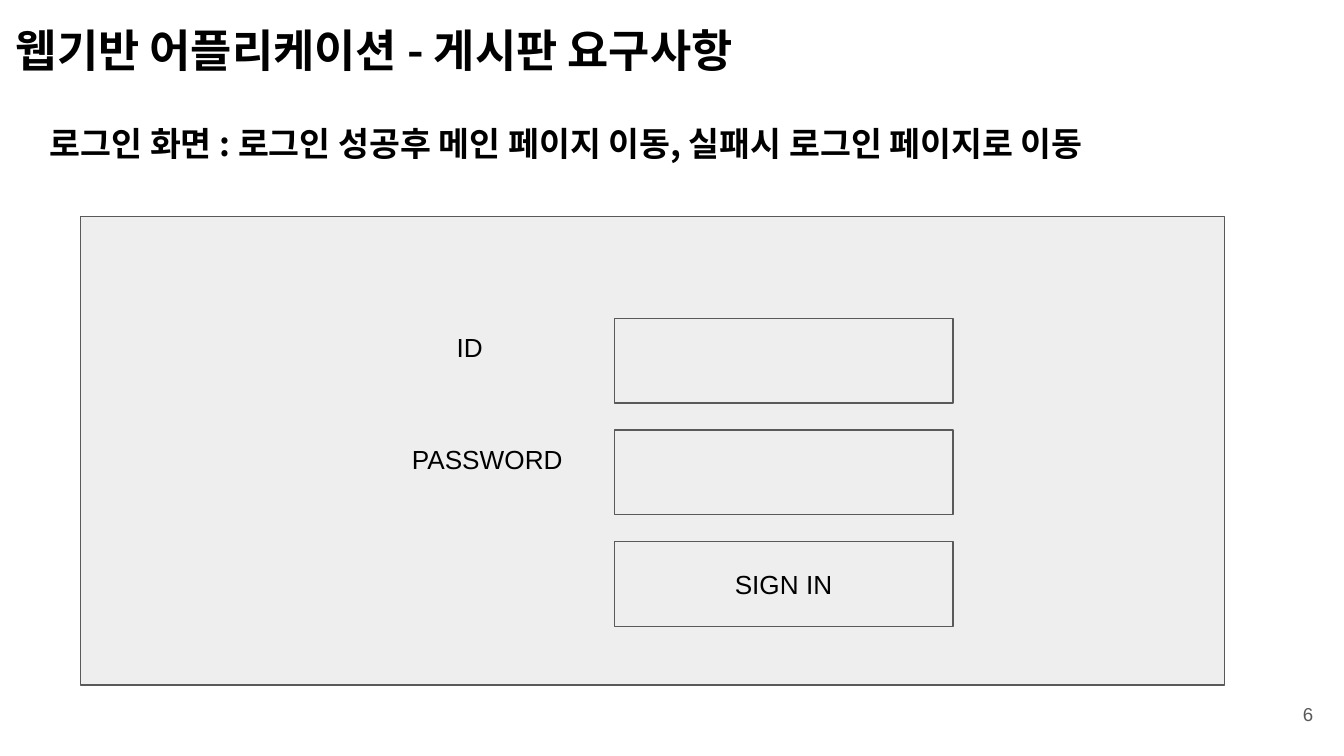
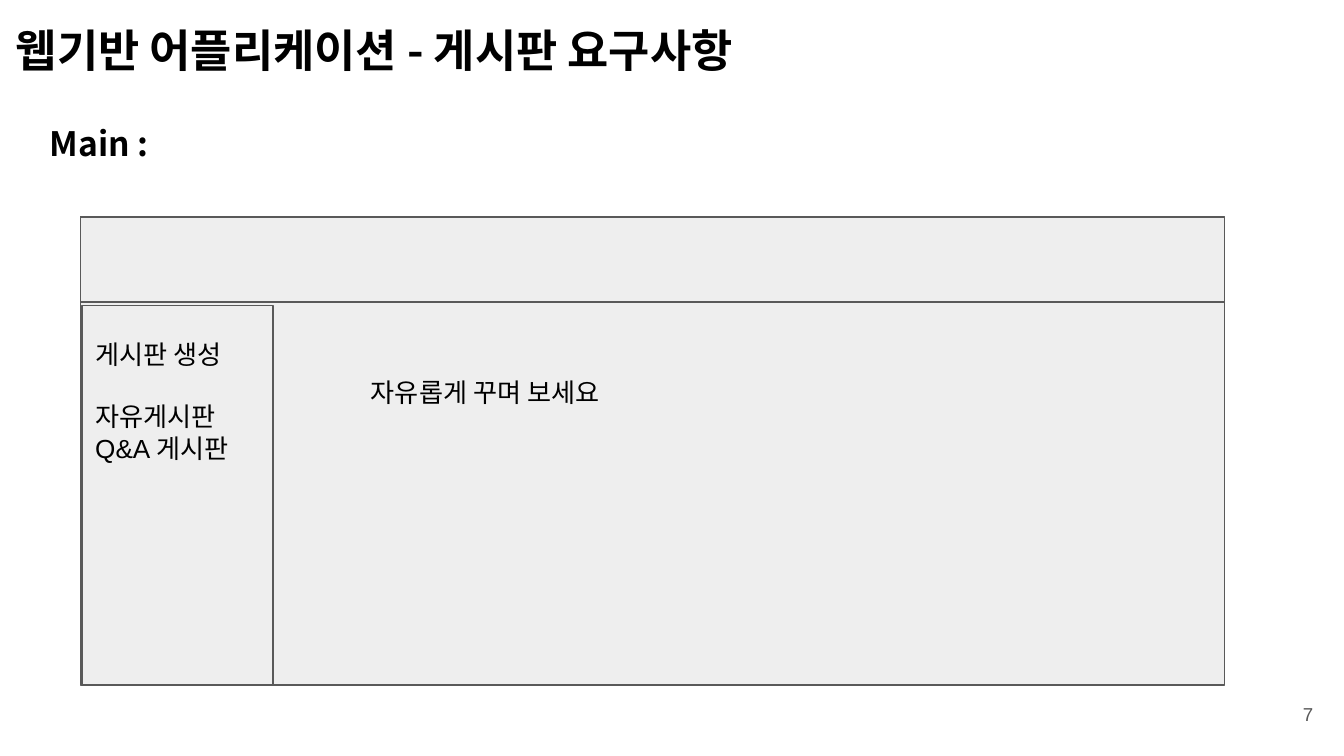
"""Builds two wireframe slides with the requirements of a web bulletin board."""
from lxml.etree import SubElement
from pptx import Presentation
from pptx.dml.color import RGBColor
from pptx.enum.shapes import MSO_SHAPE
from pptx.enum.text import MSO_ANCHOR, PP_ALIGN
from pptx.oxml.ns import qn
from pptx.util import Cm, Pt

TITLE = "웹기반 어플리케이션 - 게시판 요구사항"
LOGIN_HEADING = "로그인 화면 : 로그인 성공후 메인 페이지 이동, 실패시 로그인 페이지로 이동"
MAIN_HEADING = "Main :"
LOGIN_ROWS = [("ID", 3.02, ""), ("PASSWORD", 3.68, ""), ("", 0, "SIGN IN")]
MENU = [("게시판 생성", 16.8), ("자유게시판", 0), ("Q&A 게시판", 0)]
MAIN_NOTE = "자유롭게 꾸며 보세요"

KOREAN, LATIN = "Noto Sans CJK KR", "Arial"
BLACK, GRAY, PANEL = "000000", "595959", "EEEEEE"
INSET = 0.25
BAR_HEIGHT = 1.6
FRAME = (1.52, 4.09, 21.62, 8.86)
HEADER = (1.52, 4.11, 21.62, BAR_HEIGHT)
SIDEBAR = (1.55, 5.77, 3.61, 7.18)
NOTE = (6.76, 6.86, 10.62, 4.57)
FIELD_LEFT, FIELD_TOP, FIELD_WIDTH, ROW_STEP = 11.61, 6.02, 6.4, 2.11
LABEL_LEFT = 7.37

STYLES = {
    "title": {"size": Pt(24), "bold": True, "name": KOREAN},
    "heading": {"size": Pt(18), "bold": True, "name": KOREAN},
    "body": {"size": Pt(14), "bold": False, "name": LATIN},
    "number": {"size": Pt(10), "bold": False, "name": LATIN},
}


def color(value):
    return RGBColor.from_string(value)


def write(box, lines, style="body", align=PP_ALIGN.LEFT, anchor=MSO_ANCHOR.TOP,
          top_inset=INSET, ink=BLACK):
    frame = box.text_frame
    settings = {"word_wrap": True, "vertical_anchor": anchor,
                "margin_left": Cm(INSET), "margin_right": Cm(INSET),
                "margin_top": Cm(top_inset), "margin_bottom": Cm(INSET)}
    for name, value in settings.items():
        setattr(frame, name, value)
    for index, (text, gap) in enumerate(lines):
        para = frame.add_paragraph() if index else frame.paragraphs[0]
        para.alignment = align
        para.space_after = Pt(gap)
        span = para.add_run()
        span.text = text
        for name, value in STYLES[style].items():
            setattr(span.font, name, value)
        span.font.color.rgb = color(ink)
        SubElement(span.font._element, qn("a:ea"), typeface=KOREAN)


def add_text(shapes, area, text, **options):
    box = shapes.add_textbox(*map(Cm, area))
    write(box, [(text, 0)], **options)


def add_panel(shapes, area):
    panel = shapes.add_shape(MSO_SHAPE.RECTANGLE, *map(Cm, area))
    panel.shadow.inherit = False
    panel.fill.solid()
    panel.fill.fore_color.rgb = color(PANEL)
    panel.line.color.rgb = color(GRAY)
    panel.line.width = Pt(0.75)
    return panel


def add_page(deck, heading, number):
    shapes = deck.slides.add_slide(deck.slide_layouts[6]).shapes
    add_text(shapes, (0.05, 0.18, 23.67, BAR_HEIGHT), TITLE, style="title")
    add_text(shapes, (23.55, 12.95, 1.52, 1.09), str(number), style="number",
             align=PP_ALIGN.RIGHT, anchor=MSO_ANCHOR.MIDDLE, ink=GRAY)
    add_text(shapes, (0.69, 2.08, 23.67, BAR_HEIGHT), heading, style="heading")
    add_panel(shapes, FRAME)
    return shapes


def add_login_form(shapes):
    form = shapes.add_group_shape().shapes
    for row, (label, label_width, caption) in enumerate(LOGIN_ROWS):
        top = FIELD_TOP + row * ROW_STEP
        field = add_panel(form, (FIELD_LEFT, top, FIELD_WIDTH, BAR_HEIGHT))
        if caption:
            write(field, [(caption, 0)], align=PP_ALIGN.CENTER, anchor=MSO_ANCHOR.MIDDLE)
        if label:
            add_text(form, (LABEL_LEFT, top, label_width, BAR_HEIGHT), label,
                     align=PP_ALIGN.CENTER)


def add_main_layout(shapes):
    write(add_panel(shapes, SIDEBAR), MENU, top_inset=0.62)
    add_panel(shapes, HEADER)
    add_text(shapes, NOTE, MAIN_NOTE)


def main():
    deck = Presentation()
    deck.slide_width, deck.slide_height = Cm(25.4), Cm(14.29)
    add_login_form(add_page(deck, LOGIN_HEADING, 6))
    add_main_layout(add_page(deck, MAIN_HEADING, 7))
    deck.save("out.pptx")


if __name__ == "__main__":
    main()
